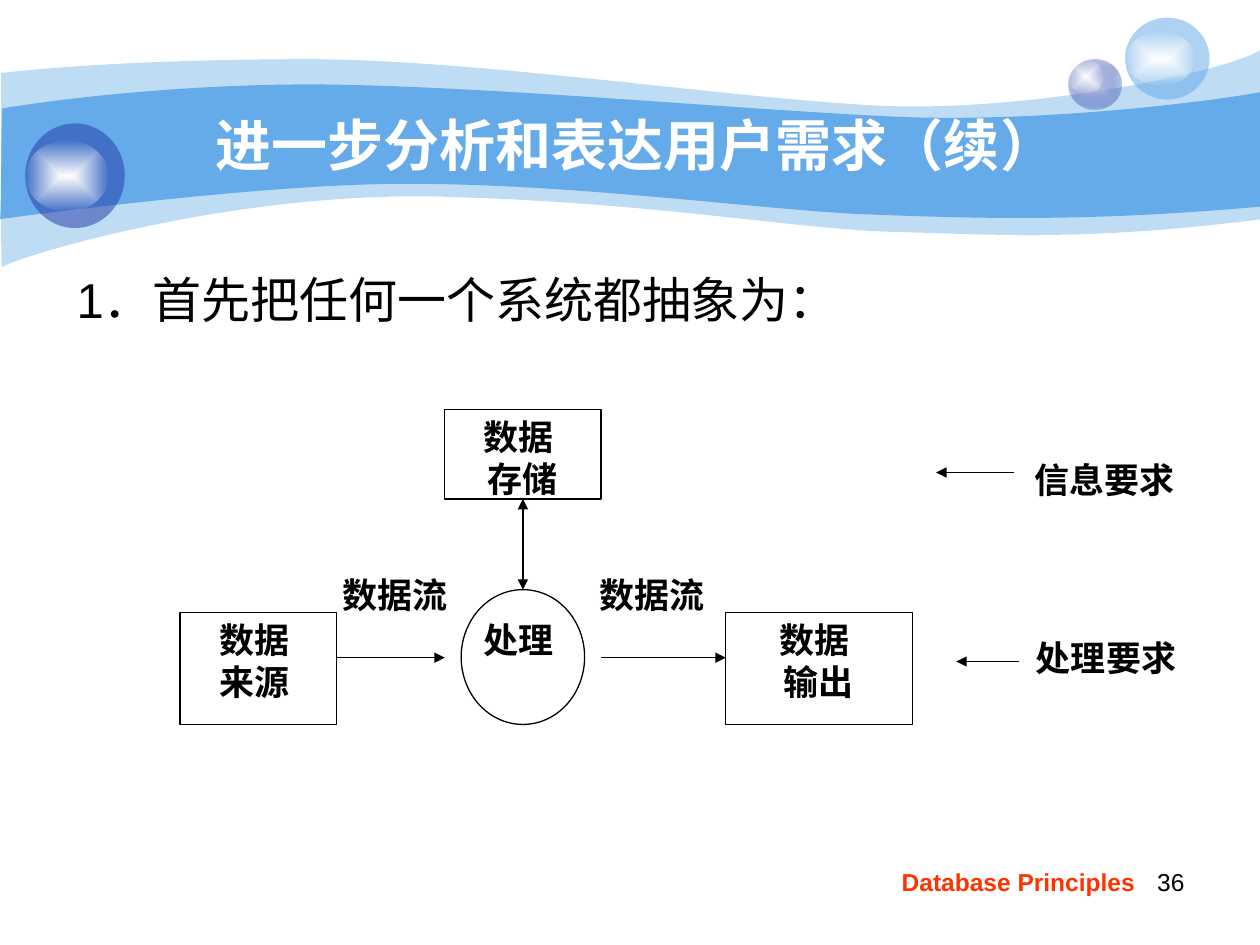
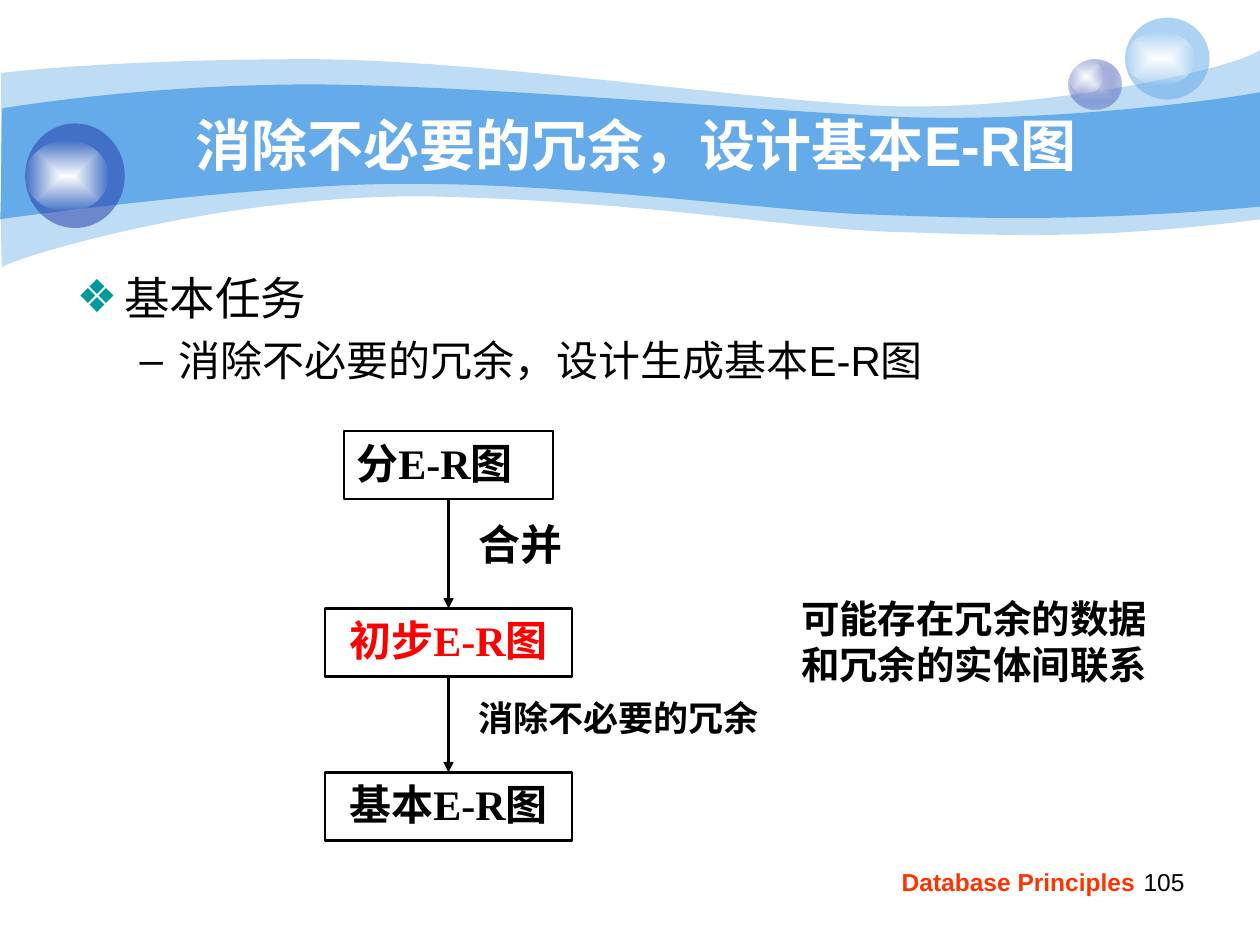
"""Build two database design slides: abstracting a system and merging E-R diagrams."""
from lxml import etree
from pptx import Presentation
from pptx.dml.color import RGBColor
from pptx.enum.shapes import MSO_CONNECTOR, MSO_SHAPE
from pptx.enum.text import MSO_ANCHOR, MSO_AUTO_SIZE, PP_ALIGN
from pptx.oxml import parse_xml
from pptx.oxml.ns import nsdecls, qn
from pptx.util import Pt

LEFT, CENTER, RIGHT = PP_ALIGN.LEFT, PP_ALIGN.CENTER, PP_ALIGN.RIGHT
TOP, MIDDLE = MSO_ANCHOR.TOP, MSO_ANCHOR.MIDDLE
RECT, OVAL = MSO_SHAPE.RECTANGLE, MSO_SHAPE.OVAL
STRAIGHT, NO_FIT = MSO_CONNECTOR.STRAIGHT, MSO_AUTO_SIZE.NONE
PX = 9144
SANS, SERIF = "Arial", "Times New Roman"
C = {"black": "000000", "white": "FFFFFF", "sky": "65AAE9", "navy": "233DA9",
     "mist": "C7CEE9", "teal": "009999", "red": "FF0000", "orange": "FF3300"}

WAVES = [
    (41, [[(1, 58)], [(25, 55), (109, 47), (248, 47)], [(387, 48), (577, 78), (700, 84)],
          [(823, 89), (981, 55), (1001, 39)], [(1001, 174)],
          [(859, 192), (789, 186), (706, 184)], [(623, 181), (516, 160), (344, 156)],
          [(173, 153), (5, 207), (2, 212)], [(0, 216), (1, 84), (1, 58)]]),
    (100, [[(2, 86)], [(3, 86), (111, 67), (249, 67)], [(388, 68), (597, 88), (719, 93)],
           [(842, 97), (977, 78), (1001, 73)], [(1001, 164)],
           [(854, 177), (767, 173), (683, 170)], [(600, 166), (448, 145), (318, 146)],
           [(204, 146), (-1, 174), (0, 174)], [(1, 175), (1, 86), (2, 86)]]),
]
GLOW = [("white", 100), ("white", 0)]
ORBS = [
    ((848, 47, 42, 40), [("mist", 100), ("navy", 31)]),
    ((848, 47, 28, 27), GLOW),
    ((893, 14, 67, 65), [("sky", 53)]),
    ((893, 25, 56, 43), GLOW),
    ((20, 98, 79, 83), [("navy", 53)]),
    ((20, 112, 66, 56), GLOW),
]
PAGES = [
    {"title": "进一步分析和表达用户需求（续）", "number": "36", "weight": 0.75, "inset": 0,
     "body": [("1．首先把任何一个系统都抽象为：", 28, 7, None, None, 38, -38)],
     "items": {
         "flow out": (None, (465, 450, 111, 71), "数据流 ", 20, "black", CENTER),
         "flow in": (None, (267, 450, 99, 71), "数据流 ", 20, "black", CENTER),
         "circle": (OVAL, (366, 468, 98, 107), "", 20, "black", CENTER),
         "store": (RECT, (353, 325, 124, 71), "数据 \n存储", 20, "black", CENTER),
         "source": (RECT, (143, 486, 124, 89), "数据 \n来源 ", 20, "black", CENTER),
         "process": (None, (378, 486, 74, 53), "处理 ", 20, "black", CENTER),
         "output": (RECT, (576, 486, 148, 89), "数据 \n输出", 20, "black", CENTER),
         "information": (None, (818, 359, 124, 73), "信息要求 ", 20, "black", CENTER),
         "processing": (None, (819, 500, 124, 57), "处理要求 ", 20, "black", CENTER)},
     "arrows": [((805, 375), (743, 375)), ((267, 522), (353, 522)),
                ((477, 522), (576, 522)), ((809, 525), (759, 525))],
     "joins": [("store", "circle", ("headEnd", "tailEnd"))]},
    {"title": "消除不必要的冗余，设计基本E-R图", "number": "105", "weight": 1.5, "inset": 10,
     "body": [("基本任务", 26, 6.5, "❖", "teal", 38, -38),
              ("消除不必要的冗余，设计生成基本E-R图", 24, 6, "–", "black", 81, -31)],
     "items": {
         "partial": (RECT, (273, 342, 166, 54), "分E-R图", 24, "black", LEFT),
         "initial": (RECT, (258, 483, 196, 54), "初步E-R图", 24, "red", CENTER),
         "basic": (RECT, (258, 613, 196, 54), "基本E-R图", 24, "black", CENTER),
         "merge": (None, (370, 407, 124, 43), "合并 ", 24, "black", LEFT),
         "remove": (None, (370, 548, 303, 54), "消除不必要的冗余 ", 20, "black", LEFT),
         "remark": (None, (626, 467, 325, 83), "可能存在冗余的数据 \n和冗余的实体间联系",
                    22, "black", LEFT)},
     "arrows": [],
     "joins": [("partial", "initial", ("tailEnd",)), ("initial", "basic", ("tailEnd",))]},
]


def write(sp, text, size, color, align, name=SERIF, bold=True, inset=10, anchor=TOP):
    """Put one paragraph per line of text into a shape."""
    tf = sp.text_frame
    frame = {"word_wrap": True, "auto_size": NO_FIT, "vertical_anchor": anchor,
             "margin_left": inset * PX, "margin_right": inset * PX,
             "margin_top": 5 * PX, "margin_bottom": 5 * PX}
    for key, value in frame.items():
        setattr(tf, key, value)
    for i, line in enumerate(text.split("\n")):
        p = tf.add_paragraph() if i else tf.paragraphs[0]
        p.alignment = align
        r = p.add_run()
        r.text = line
        for key, value in {"size": Pt(size), "bold": bold, "name": name}.items():
            setattr(r.font, key, value)
        r.font.color.rgb = RGBColor.from_string(C[color])


def arrow(s, start, end, weight, ends=("tailEnd",)):
    """Draw a black straight connector with triangle heads."""
    c = s.shapes.add_connector(STRAIGHT, *[v * PX for v in (*start, *end)])
    c.line.width = Pt(weight)
    c.line.color.rgb = RGBColor.from_string(C["black"])
    spPr = c._element.spPr
    for tag in ends:
        etree.SubElement(spPr.find(qn("a:ln")), qn("a:" + tag), type="triangle")
    etree.SubElement(spPr, qn("a:effectLst"))
    return c


prs = Presentation()
prs.slide_width, prs.slide_height = 1000 * PX, 750 * PX
layout = prs.slide_layouts[5]
for holder in list(layout.placeholders)[1:]:
    layout.shapes._spTree.remove(holder._element)

for page in PAGES:
    s = prs.slides.add_slide(layout)
    if page is PAGES[0]:
        footer = s.shapes.add_textbox(673 * PX, 683 * PX, 276 * PX, 27 * PX)
        write(footer, "Database Principles ", 14, "orange", CENTER, SANS)
        footer._element.nvSpPr.cNvPr.set("id", "100")
        layout.shapes._spTree.append(footer._element)

    number = s.shapes.add_textbox(717 * PX, 683 * PX, 233 * PX, 52 * PX)
    write(number, page["number"], 14, "black", RIGHT, SANS, bold=False)

    decor = []
    for alpha, segments in WAVES:
        points = [point for seg in segments for point in seg]
        fb = s.shapes.build_freeform(*points[0], scale=PX)
        fb.add_line_segments(points[1:], close=True)
        sp = fb.convert_to_shape()
        outline = sp._element.spPr.find(".//" + qn("a:path"))
        steps = iter(outline.findall(qn("a:lnTo")))
        for seg in segments[1:]:
            parts = [next(steps) for point in seg]
            if len(parts) == 3:
                curve = etree.Element(qn("a:cubicBezTo"))
                parts[0].addprevious(curve)
                for part in parts:
                    curve.append(part[0])
                    outline.remove(part)
        decor.append((sp, [("sky", alpha)]))
    for at, stops in ORBS:
        decor.append((s.shapes.add_shape(OVAL, *[v * PX for v in at]), stops))

    for sp, stops in decor:
        sp.shadow.inherit = False
        sp.line.fill.background()
        sp.fill.background()
        colors = [f'<a:srgbClr val="{C[key]}"><a:alpha val="{alpha * 1000}"/></a:srgbClr>'
                  for key, alpha in stops]
        if len(colors) == 1:
            xml = f'<a:solidFill {nsdecls("a")}>{colors[0]}</a:solidFill>'
        else:
            xml = (f'<a:gradFill {nsdecls("a")} rotWithShape="1"><a:gsLst>'
                   f'<a:gs pos="0">{colors[0]}</a:gs><a:gs pos="100000">{colors[1]}</a:gs>'
                   '</a:gsLst><a:path path="rect"><a:fillToRect l="50000" t="50000" '
                   'r="50000" b="50000"/></a:path></a:gradFill>')
        spPr = sp._element.spPr
        spPr.replace(spPr.find(qn("a:noFill")), parse_xml(xml))

    title = s.shapes.title
    s.shapes._spTree.append(title._element)
    for key, value in {"left": 101, "top": 83, "width": 808, "height": 62}.items():
        setattr(title, key, value * PX)
    write(title, page["title"], 32, "white", CENTER, SANS, anchor=MIDDLE)

    body = s.shapes.add_textbox(51 * PX, 209 * PX, 900 * PX, 492 * PX)
    tf = body.text_frame
    tf.word_wrap = True
    for i, (text, size, before, bullet, color, margin, indent) in enumerate(page["body"]):
        p = tf.add_paragraph() if i else tf.paragraphs[0]
        p.level = i
        p.space_before = Pt(before)
        r = p.add_run()
        r.text = text
        r.font.size, r.font.name = Pt(size), SANS
        r.font.color.rgb = RGBColor.from_string(C["black"])
        pPr = p._p.get_or_add_pPr()
        pPr.set("marL", str(margin * PX))
        pPr.set("indent", str(indent * PX))
        if bullet:
            bu = etree.SubElement(pPr, qn("a:buClr"))
            etree.SubElement(bu, qn("a:srgbClr"), val=C[color])
            etree.SubElement(pPr, qn("a:buFont"), typeface=SANS)
            etree.SubElement(pPr, qn("a:buChar"), char=bullet)

    boxes = {}
    for name, (kind, at, text, size, color, align) in page["items"].items():
        at = [v * PX for v in at]
        if kind is None:
            sp = s.shapes.add_textbox(*at)
        else:
            sp = s.shapes.add_shape(kind, *at)
            sp.shadow.inherit = False
            sp.fill.background()
            sp.line.width = Pt(page["weight"])
            sp.line.color.rgb = RGBColor.from_string(C["black"])
        if text:
            write(sp, text, size, color, align, inset=page["inset"])
        boxes[name] = sp

    for start, end in page["arrows"]:
        arrow(s, start, end, page["weight"])
    for upper, lower, ends in page["joins"]:
        c = arrow(s, (0, 0), (0, 0), page["weight"], ends)
        c.begin_connect(boxes[upper], 2)
        c.end_connect(boxes[lower], 0)

prs.save("out.pptx")
